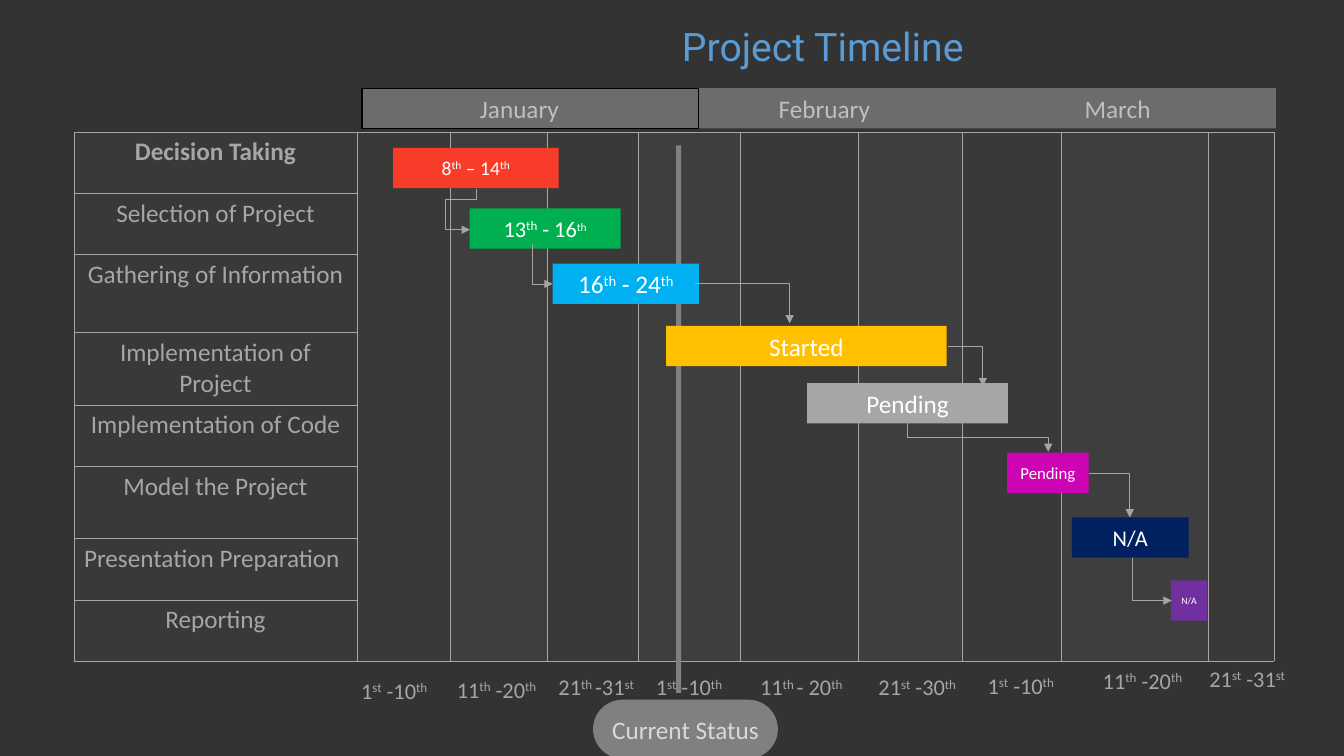
from dataclasses import dataclass

from lxml.etree import SubElement
from pptx import Presentation
from pptx.dml.color import RGBColor
from pptx.enum.shapes import MSO_CONNECTOR, MSO_SHAPE
from pptx.enum.text import MSO_ANCHOR, PP_ALIGN
from pptx.oxml.ns import qn
from pptx.util import Inches, Pt

# Grid: the slide is 160 columns by 90 rows of square cells
SLIDE_WIDTH, SLIDE_HEIGHT = Inches(13.333), Inches(7.5)
CELL = SLIDE_HEIGHT / 90
BAR_HEIGHT = 4.8

BACKGROUND = RGBColor(0x33, 0x33, 0x33)
PANEL = RGBColor(0x3B, 0x38, 0x38)
SILVER = RGBColor(0xA6, 0xA6, 0xA6)
STEEL = RGBColor(0xA5, 0xA5, 0xA5)
MONTH_TEXT = RGBColor(0xBF, 0xBF, 0xBF)
STATUS = RGBColor(0x80, 0x80, 0x80)
STATUS_TEXT = RGBColor(0xD9, 0xD9, 0xD9)
TITLE_BLUE = RGBColor(0x5B, 0x9B, 0xD5)
WHITE = RGBColor(0xFF, 0xFF, 0xFF)
BLACK = RGBColor(0, 0, 0)
RED = RGBColor(0xF7, 0x3D, 0x29)
MAGENTA = RGBColor(0xCC, 0x04, 0xB4)
YELLOW = RGBColor(0xFF, 0xC0, 0x00)
BLUE = RGBColor(0x00, 0xB0, 0xF0)
GREEN = RGBColor(0x00, 0xB0, 0x50)
PURPLE = RGBColor(0x70, 0x30, 0xA0)
NAVY = RGBColor(0x00, 0x20, 0x60)


@dataclass
class Month:
    name: str
    left: float
    width: float
    right_inset: float = 1.2
    outlined: bool = False


@dataclass
class Bar:
    text: str  # parts between ^ marks are superscript
    left: float
    top: float
    width: float
    color: RGBColor
    size: float
    last_size: float | None = None


@dataclass
class Link:
    left: float
    top: float
    width: float
    height: float
    bends: int = 2
    rotation: int = 0
    flipped: bool = False
    adjustments: tuple[int, ...] = ()


@dataclass
class Period:
    text: str
    left: float
    top: float
    width: float


COLUMNS = [33.7, 11.1, 11.5, 10.9, 12.1, 14.1, 12.3, 11.8, 17.5, 7.9]
TASKS = [
    ("Decision Taking", 7.3), ("Selection of Project", 7.3),
    ("Gathering of Information", 9.3), ("Implementation of Project", 8.6),
    ("Implementation of Code", 7.3), ("Model the Project", 8.6),
    ("Presentation Preparation", 7.3), ("Reporting", 7.3),
]
MONTHS = [
    Month("February", 83.2, 31, 2.3),
    Month("January", 43.1, 40.1, 3.8, outlined=True),
    Month("March", 114.2, 37.7),
]
BARS = [
    Bar("8^th^ – 14^th", 46.8, 17.6, 19.7, RED, 14),
    Bar("Pending", 119.9, 53.9, 9.7, MAGENTA, 12),
    Bar("Started", 79.3, 38.8, 33.4, YELLOW, 18),
    Bar("16^th^ - 24^th", 65.8, 31.4, 17.4, BLUE, 18),
    Bar("13^th^ - 16^th", 55.9, 24.8, 18, GREEN, 16, 14),
    Bar("N/A", 139.4, 69.1, 4.3, PURPLE, 7),
]
LINKS = [
    Link(112.8, 41.2, 4.2, 4.8),
    Link(82.7, 33.7, 11.3, 4.8),
    Link(53.9, 24.6, 4.8, 0.7, 4, 90, adjustments=(24700, 521200)),
    Link(62.2, 30.2, 4.8, 2.4, 2, 270, True),
    Link(114.7, 43.7, 3.4, 16.8, 3, 270, True),
    Link(129.6, 56.3, 4.9, 5.3),
    Link(130.1, 65.6, 9.4, 5.9, 3),
]
FRONT_BARS = [  # these cover the ends of some arrows
    Bar("N/A", 127.6, 61.6, 13.9, NAVY, 16),
    Bar("Pending", 96.1, 45.6, 23.9, SILVER, 18),
]
PERIODS = [
    Period("1^st^ -10^th", 41.8, 80, 11.6), Period("11^th^ -20^th", 53.2, 79.9, 13.3),
    Period("21^th ^-31^st", 65.3, 79.6, 13.3), Period("1^st^ -10^th", 76.9, 79.6, 11.9),
    Period("11^th ^- 20^th", 89.3, 79.6, 13.4), Period("21^st^ -30^th", 103.4, 79.6, 13.3),
    Period("1^st^ -10^th", 116.4, 79.4, 12.2), Period("11^th^ -20^th", 130.1, 78.8, 12.5),
    Period("21^st^ -31^st", 142.8, 78.6, 16.1),
]


def grid(cells: float) -> int:
    return round(cells * CELL)


def box(left: float, top: float, width: float, height: float) -> tuple[int, ...]:
    return grid(left), grid(top), grid(width), grid(height)


def set_fill(fill, color: RGBColor, opacity: int = 100) -> None:
    fill.solid()
    fill.fore_color.rgb = color
    if opacity < 100:
        color_element = fill._xPr.find(qn("a:solidFill"))[0]
        SubElement(color_element, qn("a:alpha"), val=str(opacity * 1000))


def write(paragraph, text: str, size: float, color: RGBColor,
          align=PP_ALIGN.CENTER, font: str = "Calibri", bold: bool = False) -> None:
    paragraph.alignment = align
    for index, part in enumerate(text.split("^")):
        run = paragraph.add_run()
        run.text = part
        run.font.size, run.font.name, run.font.bold = Pt(size), font, bold
        run.font.color.rgb = color
        if index % 2:
            run.font._element.set("baseline", "30000")


def add_block(slide, kind, place: tuple[int, ...], color: RGBColor, opacity: int = 100):
    shape = slide.shapes.add_shape(kind, *place)
    shape.shadow.inherit = False
    set_fill(shape.fill, color, opacity)
    shape.line.fill.background()
    shape.text_frame.word_wrap = False
    shape.text_frame.vertical_anchor = MSO_ANCHOR.MIDDLE
    return shape


def add_bar(slide, bar: Bar) -> None:
    place = box(bar.left, bar.top, bar.width, BAR_HEIGHT)
    shape = add_block(slide, MSO_SHAPE.RECTANGLE, place, bar.color)
    paragraph = shape.text_frame.paragraphs[0]
    write(paragraph, bar.text, bar.size, WHITE)
    if bar.last_size:
        paragraph.runs[-1].font.size = Pt(bar.last_size)


def add_month(slide, month: Month) -> None:
    place = box(month.left, 10.5, month.width, BAR_HEIGHT)
    shape = add_block(slide, MSO_SHAPE.RECTANGLE, place, STEEL, 50)
    if month.outlined:
        shape.line.color.rgb, shape.line.width = BLACK, Pt(0.75)
    shape.text_frame.word_wrap = True
    shape.text_frame.margin_right = grid(month.right_inset)
    write(shape.text_frame.paragraphs[0], month.name, 18, MONTH_TEXT)


def add_link(slide, link: Link) -> None:
    left, right = link.left, link.left + link.width
    if link.flipped:
        left, right = right, left
    connector = slide.shapes.add_connector(
        MSO_CONNECTOR.ELBOW, grid(left), grid(link.top),
        grid(right), grid(link.top + link.height))
    connector.line.color.rgb, connector.line.width = STEEL, Pt(0.5)
    properties = connector._element.spPr
    if link.rotation:
        properties.find(qn("a:xfrm")).set("rot", str(link.rotation * 60000))
    geometry = properties.find(qn("a:prstGeom"))
    geometry.set("prst", f"bentConnector{link.bends}")
    for number, value in enumerate(link.adjustments, 1):
        SubElement(geometry.find(qn("a:avLst")), qn("a:gd"),
                   name=f"adj{number}", fmla=f"val {value}")
    SubElement(properties.find(qn("a:ln")), qn("a:tailEnd"), type="triangle")
    SubElement(properties, qn("a:effectLst"))


def add_borders(cell) -> None:
    properties = cell._tc.get_or_add_tcPr()
    for index, side in enumerate(("lnL", "lnR", "lnT", "lnB")):
        border = SubElement(properties, qn(f"a:{side}"), w=str(Pt(0.25)))
        fill = SubElement(border, qn("a:solidFill"))
        SubElement(fill, qn("a:srgbClr"), val=str(SILVER))
        properties.insert(index, border)


def add_schedule(slide) -> None:
    heights = [height for _, height in TASKS]
    place = box(8.8, 15.7, sum(COLUMNS), sum(heights))
    table = slide.shapes.add_table(len(TASKS), len(COLUMNS), *place).table
    table.first_row = table.horz_banding = False
    for column, width in zip(table.columns, COLUMNS):
        column.width = grid(width)
    for index, (task, height) in enumerate(TASKS):
        table.rows[index].height = grid(height)
        align = PP_ALIGN.LEFT if task == "Presentation Preparation" else PP_ALIGN.CENTER
        write(table.cell(index, 0).text_frame.paragraphs[0], task, 18, SILVER,
              align, bold=index == 0)
        for column in range(len(COLUMNS)):
            cell = table.cell(index, column)
            tinted = column > 0 and column % 2 == 0
            set_fill(cell.fill, SILVER if tinted else PANEL, 10 if tinted else 100)
            add_borders(cell)
    for column in range(1, len(COLUMNS)):
        table.cell(0, column).merge(table.cell(len(TASKS) - 1, column))


def main() -> None:
    presentation = Presentation()
    presentation.slide_width, presentation.slide_height = SLIDE_WIDTH, SLIDE_HEIGHT
    slide = presentation.slides.add_slide(presentation.slide_layouts[5])
    set_fill(slide.background.fill, BACKGROUND)

    # Title
    title = slide.shapes.title
    title.left, title.top, title.width, title.height = box(57.4, 2, 81.1, 6.9)
    title.text_frame.vertical_anchor = MSO_ANCHOR.MIDDLE
    write(title.text_frame.paragraphs[0], "Project Timeline", 28, TITLE_BLUE, font="Roboto")

    # Tasks and months
    add_schedule(slide)
    for month in MONTHS:
        add_month(slide, month)

    # Current status marker
    pill = add_block(slide, MSO_SHAPE.ROUNDED_RECTANGLE, box(70.6, 83.3, 22, 7), STATUS)
    pill.adjustments[0] = 0.5
    write(pill.text_frame.paragraphs[0], "Current Status", 18, STATUS_TEXT)
    add_block(slide, MSO_SHAPE.RECTANGLE, box(80.5, 17.3, 0.6, 65.2), STATUS)

    # Bars and the arrows between them
    for bar in BARS:
        add_bar(slide, bar)
    for link in LINKS:
        add_link(slide, link)
    for bar in FRONT_BARS:
        add_bar(slide, bar)

    # Periods below the chart
    for period in PERIODS:
        label = slide.shapes.add_textbox(*box(period.left, period.top, period.width, 4.4))
        label.text_frame.word_wrap = True
        write(label.text_frame.paragraphs[0], period.text, 16, SILVER, PP_ALIGN.LEFT)

    presentation.save("out.pptx")


if __name__ == "__main__":
    main()
